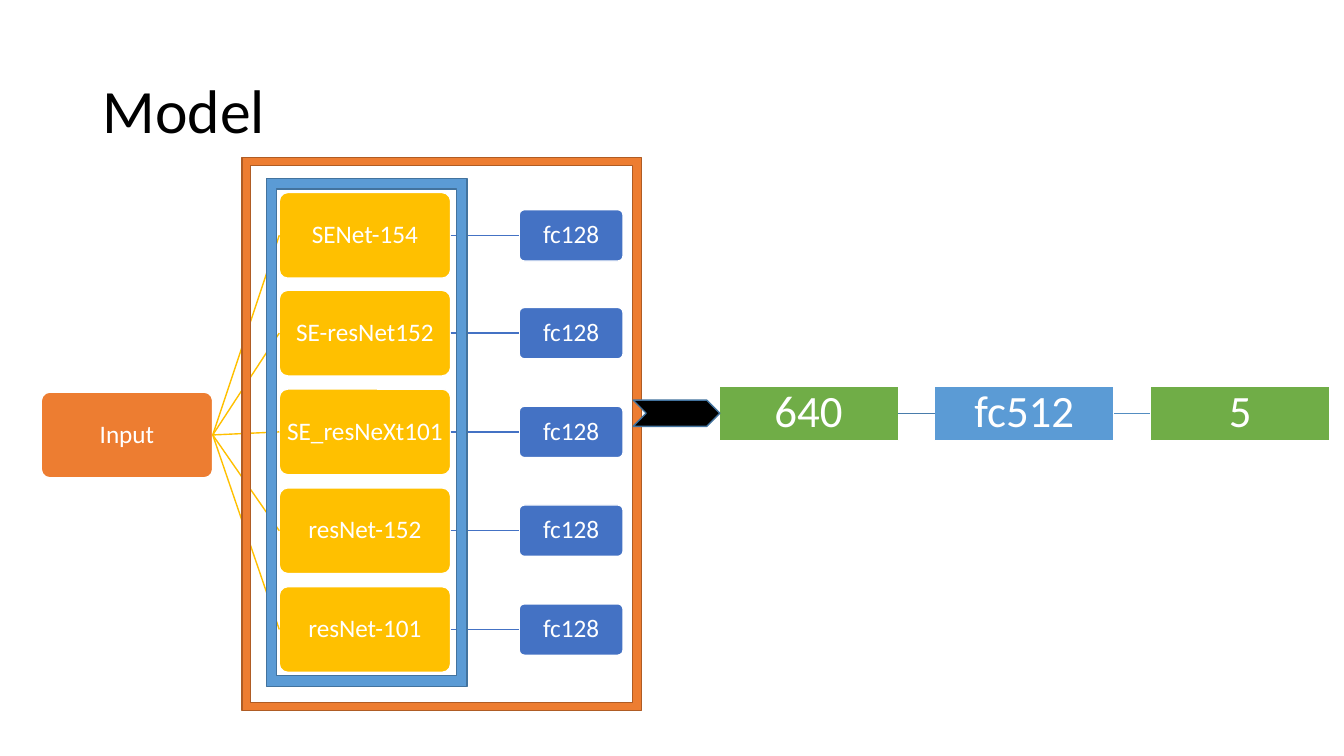
"""Build the Model slide: five networks feeding a merged classifier."""
import pptx
import pptx.util
import pptx.dml.color
import pptx.enum.shapes
import pptx.enum.text
import pptx.oxml.ns
import lxml.etree

EMU_PER_PX = 9144
FONT = "Calibri"
COLOURS = {
    "black": "000000", "white": "FFFFFF", "orange": "ED7D31", "dark_orange": "AF5C24",
    "gold": "FFC000", "navy": "4472C4", "sky": "5B9BD5", "dark_sky": "43739E",
    "link_left": "497CAB", "link_right": "538DC1", "green": "70AD47",
}
NETWORKS = ["SENet-154", "SE-resNet152", "SE_resNeXt101", "resNet-152", "resNet-101"]
LAYERS = [("640", "green"), ("fc512", "sky"), ("5", "green")]
SHAPES = pptx.enum.shapes.MSO_SHAPE
LEFT, RIGHT = 1, 3


def px(length):
    return pptx.util.Emu(length * EMU_PER_PX)


def colour(name):
    return pptx.dml.color.RGBColor.from_string(COLOURS[name])


def write(frame, text, size, ink, align):
    frame.word_wrap = True
    frame.auto_size = pptx.enum.text.MSO_AUTO_SIZE.NONE
    frame.vertical_anchor = pptx.enum.text.MSO_ANCHOR.MIDDLE
    para = frame.paragraphs[0]
    para.alignment = align
    para.line_spacing = 0.9
    span = para.add_run()
    span.text = text
    span.font.name = FONT
    span.font.size = pptx.util.Pt(size)
    span.font.color.rgb = colour(ink)


def add_title(page, text):
    title = page.shapes.title
    title.left, title.top, title.width, title.height = px(92), px(40), px(1150), px(145)
    write(title.text_frame, text, 44, "black", pptx.enum.text.PP_ALIGN.LEFT)


def add_outline(page, kind, place, fill, line, adjust=None):
    shape = page.shapes.add_shape(kind, *map(px, place))
    shape.shadow.inherit = False
    shape.fill.solid()
    shape.fill.fore_color.rgb = colour(fill)
    shape.line.color.rgb = colour(line)
    shape.line.width = pptx.util.Pt(1)
    if adjust is not None:
        shape.adjustments[0] = adjust
    return shape


def add_box(page, kind, place, text, fill, size, adjust=None):
    box = add_outline(page, kind, place, fill, "white", adjust)
    frame = box.text_frame
    frame.margin_left = frame.margin_right = px(2)
    frame.margin_top = frame.margin_bottom = px(2)
    write(frame, text, size, "white", pptx.enum.text.PP_ALIGN.CENTER)
    return box


def add_link(page, source, target, ink):
    link = page.shapes.add_connector(pptx.enum.shapes.MSO_CONNECTOR.STRAIGHT, 0, 0, 0, 0)
    link.begin_connect(source, RIGHT)
    link.end_connect(target, LEFT)
    link.line.color.rgb = colour(ink)
    link.line.width = pptx.util.Pt(1)
    lxml.etree.SubElement(link._element.spPr, pptx.oxml.ns.qn("a:effectLst"))


def add_networks(page):
    rounded = SHAPES.ROUNDED_RECTANGLE
    source = add_box(page, rounded, (41, 389, 170, 85), "Input", "orange", 18, 0.1)
    for row, name in enumerate(NETWORKS):
        top = 191 + row * 391 // 4
        network = add_box(page, rounded, (277, top, 170, 85), name, "gold", 18, 0.1)
        dense = add_box(page, rounded, (515, top + 17, 103, 51), "fc128", "navy", 18, 0.1)
        add_link(page, source, network, "gold")
        add_link(page, network, dense, "navy")


def add_layers(page):
    boxes = [
        add_box(page, SHAPES.RECTANGLE, (713 + 214 * column, 383, 178, 54), text, fill, 32)
        for column, (text, fill) in enumerate(LAYERS)
    ]
    for source, target, ink in zip(boxes, boxes[1:], ("link_left", "link_right")):
        add_link(page, source, target, ink)


def main():
    deck = pptx.Presentation()
    deck.slide_width, deck.slide_height = px(1333), px(750)
    page = deck.slides.add_slide(deck.slide_layouts[5])
    add_title(page, "Model")
    add_networks(page)
    add_layers(page)
    add_outline(page, SHAPES.FRAME, (264, 177, 199, 504), "sky", "dark_sky", 0.053)
    add_outline(page, SHAPES.FRAME, (240, 156, 396, 549), "orange", "dark_orange", 0.021)
    add_outline(page, SHAPES.CHEVRON, (628, 397, 86, 26), "black", "dark_sky")
    deck.save("out.pptx")


if __name__ == "__main__":
    main()
